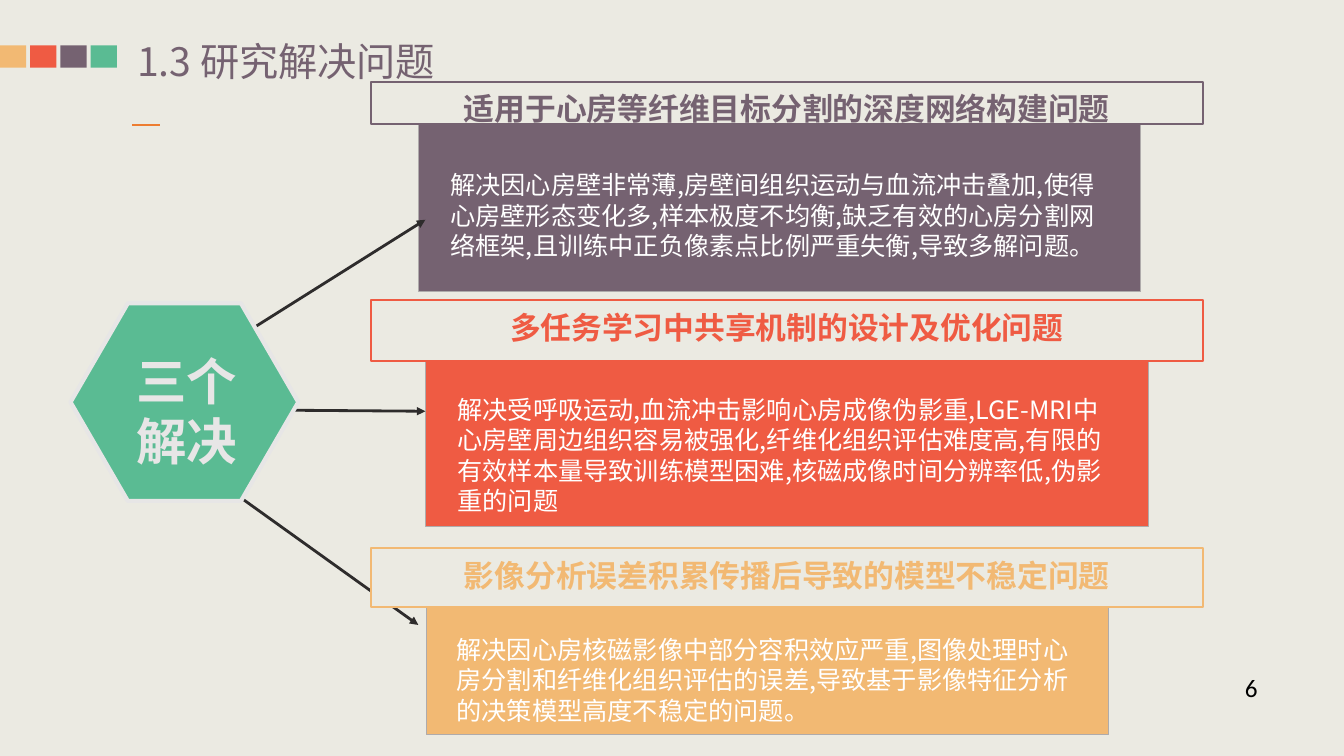
from lxml.etree import SubElement
from pptx import Presentation
from pptx.dml.color import RGBColor
from pptx.enum.shapes import MSO_CONNECTOR, MSO_SHAPE
from pptx.enum.text import MSO_ANCHOR, PP_ALIGN
from pptx.oxml.ns import qn
from pptx.util import Inches, Pt

# Grid: 160 columns by 90 rows of square cells
COLUMNS, ROWS = 160, 90
CELL = Inches(1) / 12
CJK_FONT = "Noto Sans CJK SC"
COLORS = {
    "background": "EBEAE2", "plum": "756271", "red": "EF5B43",
    "amber": "F2B973", "green": "5ABB93", "white": "FFFFFF",
    "pale": "E7E6E6", "border": "AFABAB", "arrow": "2E2C2C",
    "orange": "ED7D31", "black": "000000",
}

# Each problem: colour, heading, body, then boxes as (column, row, columns, rows)
PROBLEMS = [
    {"color": "plum",
     "heading": "适用于心房等纤维目标分割的深度网络构建问题",
     "body": "解决因心房壁非常薄,房壁间组织运动与血流冲击叠加,使得心房壁形态变化多,"
             "样本极度不均衡,缺乏有效的心房分割网络框架,且训练中正负像素点比例严重失衡,"
             "导致多解问题。",
     "header_rows": (9.72, 5.04),
     "panel": (49.8, 14.04, 86.04, 20.64), "text": (52.44, 19.32, 80.04, 12.12),
     "arrow": ((28.32, 40.2), (50.64, 26.16))},
    {"color": "red",
     "heading": "多任务学习中共享机制的设计及优化问题",
     "body": "解决受呼吸运动,血流冲击影响心房成像伪影重,LGE-MRI中心房壁周边组织容易被强化,"
             "纤维化组织评估难度高,有限的有效样本量导致训练模型困难,核磁成像时间分辨率低,"
             "伪影重的问题",
     "header_rows": (35.76, 7.2),
     "panel": (50.64, 40.8, 86.04, 21.84), "text": (53.28, 46.08, 80.04, 20.28),
     "arrow": ((34.44, 48.84), (50.64, 48.96))},
    {"color": "amber",
     "heading": "影像分析误差积累传播后导致的模型不稳定问题",
     "body": "解决因心房核磁影像中部分容积效应严重,图像处理时心房分割和纤维化组织评估的误差,"
             "导致基于影像特征分析的决策模型高度不稳定的问题。",
     "header_rows": (65.28, 6.96),
     "panel": (50.76, 70.56, 81.24, 16.92), "text": (53.16, 74.64, 75.6, 12.12),
     "arrow": ((27.36, 58.32), (49.8, 74.4))},
]


def cells(*values):
    return [round(value * CELL) for value in values]


def rgb(name):
    return RGBColor.from_string(COLORS[name])


def add_block(slide, box, fill, line=None, width=0, kind=MSO_SHAPE.RECTANGLE):
    shape = slide.shapes.add_shape(kind, *cells(*box))
    shape.shadow.inherit = False
    shape.fill.solid()
    shape.fill.fore_color.rgb = rgb(fill)
    if line:
        shape.line.color.rgb = rgb(line)
        shape.line.width = Pt(width)
    else:
        shape.line.fill.background()
    return shape


def add_text(slide, box, text, size, color, font=CJK_FONT, bold=False,
             align=PP_ALIGN.LEFT, anchor=MSO_ANCHOR.TOP, spacing=None, margins=True):
    """Without a given spacing, lines are 1.2 times the text size, lowered by a tenth of it."""
    left, top, width, height = cells(*box)
    if spacing is None:
        top += Pt(size * 0.1)
        spacing = Pt(size * 1.2)
    shape = slide.shapes.add_textbox(left, top, width, height)
    frame = shape.text_frame
    frame.word_wrap = True
    frame.vertical_anchor = anchor
    if not margins:
        frame.margin_left = frame.margin_right = frame.margin_top = frame.margin_bottom = 0
    paragraph = frame.paragraphs[0]
    paragraph.alignment = align
    paragraph.line_spacing = spacing
    run = paragraph.add_run()
    run.text = text
    run.font.size = Pt(size)
    run.font.bold = bold
    run.font.name = font
    run.font.color.rgb = rgb(color)
    SubElement(run.font._element, qn("a:ea")).set("typeface", font)


def add_line(slide, start, end, color, width=0, arrow=False):
    connector = slide.shapes.add_connector(MSO_CONNECTOR.STRAIGHT, *cells(*start, *end))
    connector.line.color.rgb = rgb(color)
    connector.line.width = Pt(width)
    if arrow:
        SubElement(connector.line._get_or_add_ln(), qn("a:tailEnd")).set("type", "triangle")
    SubElement(connector._element.spPr, qn("a:effectLst"))


def add_panel(slide, problem):
    add_block(slide, problem["panel"], problem["color"], "border")
    add_text(slide, problem["text"], problem["body"], 18, "white")


def add_header(slide, problem):
    top, height = problem["header_rows"]
    add_block(slide, (44.16, top, 99.12, height), "background", problem["color"], 1.5)
    add_text(slide, (50.64, top, 86.04, height), problem["heading"], 22, problem["color"],
             bold=True, align=PP_ALIGN.CENTER)


def main():
    presentation = Presentation()
    presentation.slide_width, presentation.slide_height = cells(COLUMNS, ROWS)
    slide = presentation.slides.add_slide(presentation.slide_layouts[6])
    slide.background.fill.solid()
    slide.background.fill.fore_color.rgb = rgb("background")

    # Title band
    for index, color in enumerate(("amber", "red", "plum", "green")):
        add_block(slide, (index * 3.6, 5.4, 3.12, 2.64), color)
    add_text(slide, (16.32, 3.96, 47.88, 5.64), "1.3 研究解决问题", 28, "plum", margins=False)

    # Panels, then arrows, then headers on top
    for problem in PROBLEMS:
        add_panel(slide, problem)
    add_line(slide, (15.72, 14.88), (19.08, 14.88), "orange", 1.5)
    for problem in PROBLEMS:
        add_line(slide, *problem["arrow"], "arrow", arrow=True)
    for problem in PROBLEMS:
        add_header(slide, problem)

    # Hexagon
    hexagon = add_block(slide, (8.4, 36.12, 27.12, 23.52), "green", "pale", 3, MSO_SHAPE.HEXAGON)
    hexagon.adjustments[0] = 0.29
    add_text(slide, (12.36, 40.44, 19.68, 15.72), "三个解决", 36, "pale",
             bold=True, align=PP_ALIGN.CENTER)

    # Page number
    add_text(slide, (141.6, 78.72, 14.76, 5.52), "6", 18, "black", font="Calibri",
             align=PP_ALIGN.CENTER, anchor=MSO_ANCHOR.MIDDLE, spacing=1.2)

    presentation.save("out.pptx")


if __name__ == "__main__":
    main()
